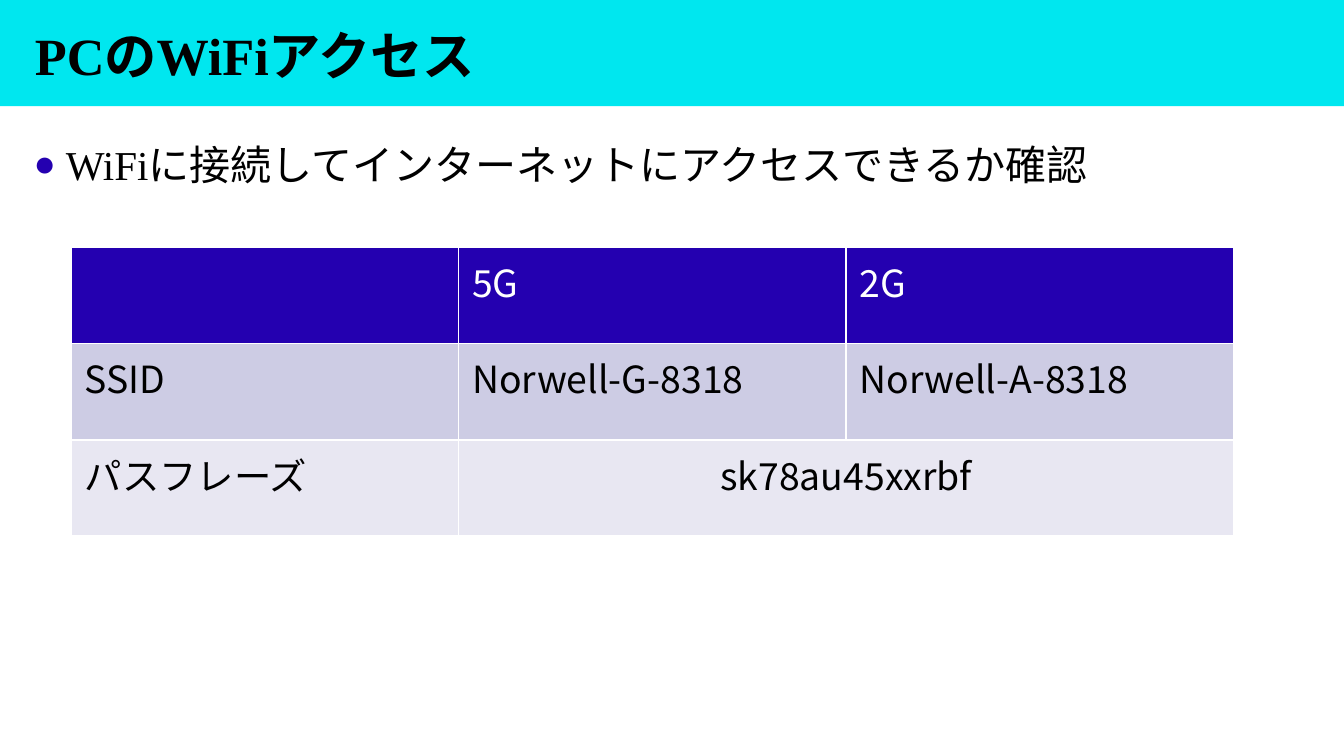
from lxml.etree import SubElement
from pptx import Presentation
from pptx.dml.color import RGBColor
from pptx.enum.shapes import MSO_SHAPE
from pptx.enum.text import MSO_ANCHOR, MSO_AUTO_SIZE, PP_ALIGN
from pptx.oxml.ns import qn
from pptx.util import Inches, Pt

CYAN = RGBColor(0x00, 0xE7, 0xEF)
INDIGO = RGBColor(0x24, 0x00, 0xB0)
LAVENDER = RGBColor(0xCD, 0xCC, 0xE4)
PALE = RGBColor(0xE8, 0xE7, 0xF2)
BLACK = RGBColor(0x00, 0x00, 0x00)
WHITE = RGBColor(0xFF, 0xFF, 0xFF)
SERIF = "Times New Roman"
SANS = "Noto Sans CJK JP"

ROWS = [
    ["", "5G", "2G"],
    ["SSID", "Norwell-G-8318", "Norwell-A-8318"],
    ["パスフレーズ", "sk78au45xxrbf", ""],
]
ROW_FILLS = [INDIGO, LAVENDER, PALE]


def write(frame, text, size=20, font=SANS, color=BLACK, bold=False, align=PP_ALIGN.LEFT):
    """Put one formatted paragraph in a text frame and return it."""
    para = frame.paragraphs[0]
    para.alignment = align
    span = para.add_run()
    span.text = text
    span.font.size = Pt(size)
    span.font.bold = bold
    span.font.name = font
    span.font.color.rgb = color
    SubElement(span.font._element, qn("a:ea"), typeface=SANS)
    return para


def set_margins(frame, top=0, right=0):
    frame.margin_left = frame.margin_bottom = 0
    frame.margin_top = Inches(top)
    frame.margin_right = Inches(right)
    frame.word_wrap = True
    frame.auto_size = MSO_AUTO_SIZE.NONE


def place(shape, box):
    shape.left, shape.top, shape.width, shape.height = map(Inches, box)


def add_header(page, box):
    """Colour band with the title on it."""
    left, top, width, height = box
    band = page.shapes.add_shape(MSO_SHAPE.RECTANGLE, *map(Inches, box))
    band.shadow.inherit = False
    band.fill.solid()
    band.fill.fore_color.rgb = CYAN
    band.line.fill.background()

    title = page.shapes.title
    place(title, (left + 0.26, top, width * 0.73, height * 0.95))
    frame = title.text_frame
    set_margins(frame, top=0.12, right=0.12)
    frame.vertical_anchor = MSO_ANCHOR.MIDDLE
    para = write(frame, "PCのWiFiアクセス", size=28, font=SERIF, bold=True)
    para.line_spacing = 0.9
    # Keep the band behind the title
    page.shapes._spTree.remove(band._element)
    page.shapes._spTree.insert(2, band._element)


def add_bullet(page, box):
    """Body text with a coloured round bullet."""
    frame = page.shapes.add_textbox(*map(Inches, box)).text_frame
    set_margins(frame)
    para = write(frame, "WiFiに接続してインターネットにアクセスできるか確認", size=22, font=SERIF)
    para.space_before = Pt(7.5)
    props = para._p.get_or_add_pPr()
    props.set("marL", str(Inches(0.24)))
    props.set("indent", str(-Inches(0.24)))
    color = SubElement(props, qn("a:buClr"))
    SubElement(color, qn("a:srgbClr"), val=str(INDIGO))
    SubElement(props, qn("a:buSzPct"), val="90000")
    SubElement(props, qn("a:buFont"), typeface=SERIF)
    SubElement(props, qn("a:buChar"), char="●")


def add_borders(cell):
    props = cell._tc.get_or_add_tcPr()
    for side in ("lnL", "lnR", "lnT", "lnB"):
        line = SubElement(props, qn(f"a:{side}"), w=str(Pt(1)))
        fill = SubElement(line, qn("a:solidFill"))
        SubElement(fill, qn("a:srgbClr"), val=str(WHITE))


def add_access_table(page, box):
    """Access point names by band, with one shared passphrase."""
    table = page.shapes.add_table(len(ROWS), len(ROWS[0]), *map(Inches, box)).table
    for row, texts in enumerate(ROWS):
        for column, text in enumerate(texts):
            cell = table.cell(row, column)
            add_borders(cell)
            cell.fill.solid()
            cell.fill.fore_color.rgb = ROW_FILLS[row]
            if text:
                shared = (row, column) == (2, 1)
                write(cell.text_frame, text, color=BLACK if row else WHITE,
                      align=PP_ALIGN.CENTER if shared else PP_ALIGN.LEFT)
    table.cell(2, 1).merge(table.cell(2, 2))


def main():
    deck = Presentation()
    deck.slide_width = Inches(10)
    deck.slide_height = deck.slide_width * 9 // 16
    page = deck.slides.add_slide(deck.slide_layouts[5])
    add_header(page, (0, 0, 10, 0.79))
    add_bullet(page, (0.25, 1.04, 9.49, 4.14))
    add_access_table(page, (0.53, 1.84, 8.65, 2.15))
    deck.save("out.pptx")


if __name__ == "__main__":
    main()
